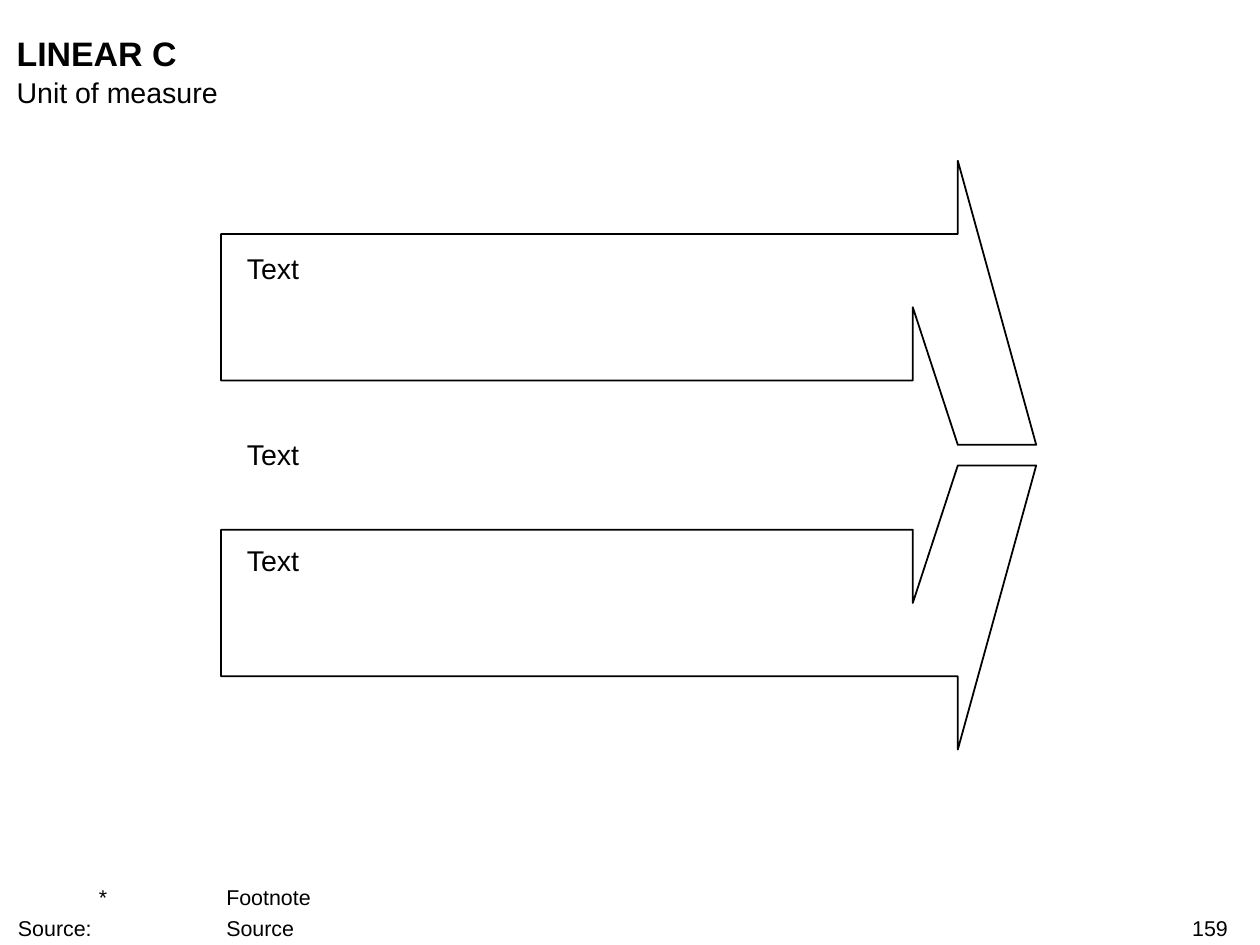
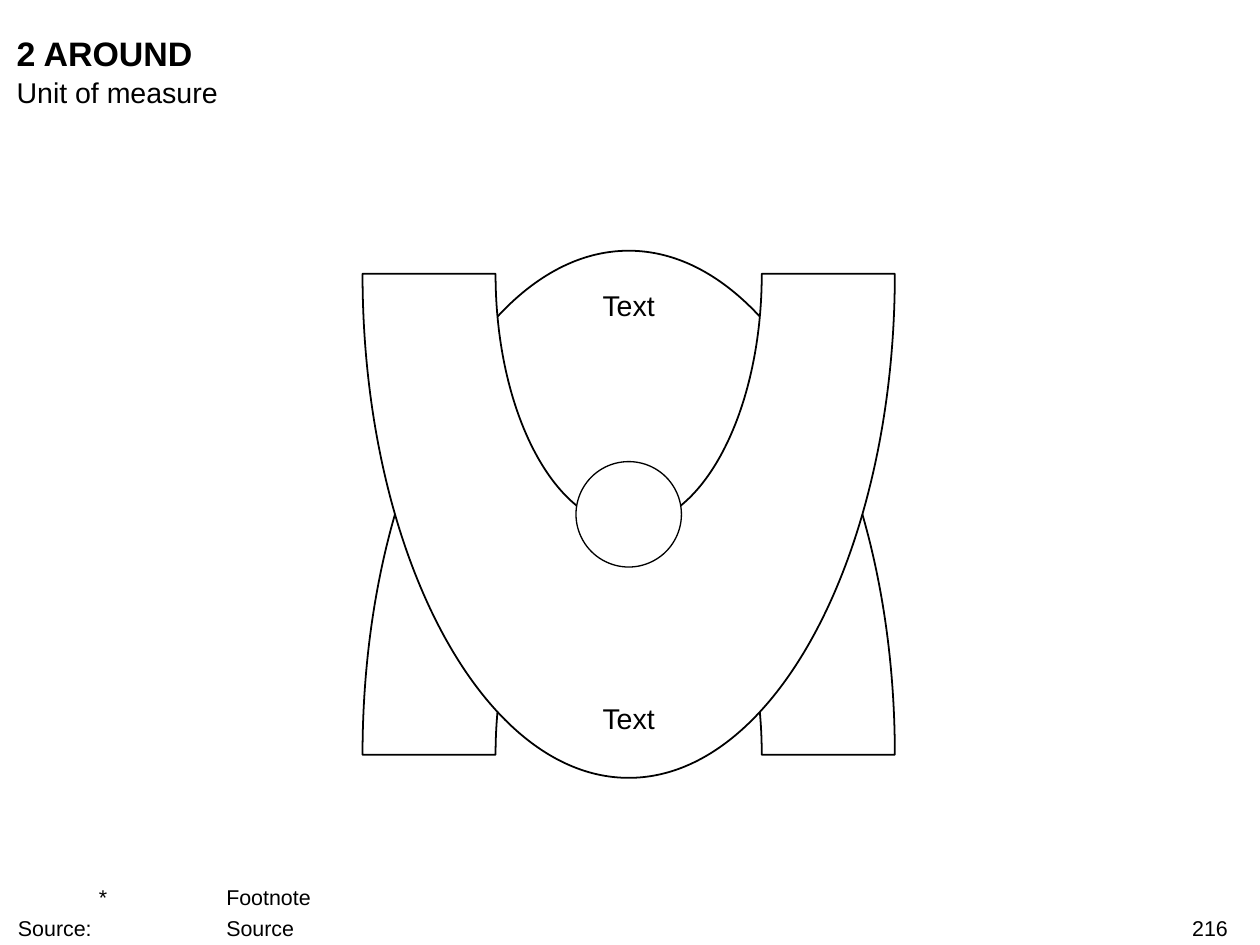
from lxml import etree
from pptx import Presentation
from pptx.dml.color import RGBColor
from pptx.enum.shapes import MSO_SHAPE
from pptx.enum.text import MSO_ANCHOR, PP_ALIGN
from pptx.oxml.ns import qn
from pptx.util import Inches, Pt

OVAL = MSO_SHAPE.OVAL
TOP, MIDDLE, BOTTOM = MSO_ANCHOR.TOP, MSO_ANCHOR.MIDDLE, MSO_ANCHOR.BOTTOM
LEFT, CENTER, RIGHT = PP_ALIGN.LEFT, PP_ALIGN.CENTER, PP_ALIGN.RIGHT
COLORS = {"ink": "000000", "paper": "FFFFFF"}
FONT = "Arial"
BODY, SMALL, HEAD = 16, 12, 19
TABS = (0.63, 1.62)
BEND = 0.55  # handle length of a quarter ellipse, as a share of its radius


def color(name):
    return RGBColor.from_string(COLORS[name])


class Deck:
    def __init__(self):
        self.prs = Presentation()
        self.prs.slide_width = Inches(9.8)
        self.prs.slide_height = Inches(7.35)
        self.shapes = None

    def page(self, title, number):
        """Start a slide with its title, unit line, footnote and number."""
        slide = self.prs.slides.add_slide(self.prs.slide_layouts[6])
        fill = slide.background.fill
        fill.solid()
        fill.fore_color.rgb = color("paper")
        self.shapes = slide.shapes
        self.text(number, 7.51, 7.12, 2.04, 0.2, SMALL, align=RIGHT)
        self.text(title, 0.13, 0.25, 9.43, 0.32, HEAD, bold=True)
        self.text("Unit of measure", 0.13, 0.58, 9.43)
        self.text("\t*\tFootnote\nSource:\t\tSource", 0.14, 6.88, 8.93, 0.44,
                  SMALL, anchor=BOTTOM, tabs=TABS, gap=3)

    def text(self, words, x, y, w, h=0.27, size=BODY, bold=False,
             align=LEFT, anchor=TOP, tabs=(), gap=0):
        box = self.shapes.add_textbox(Inches(x), Inches(y), Inches(w), Inches(h))
        frame = box.text_frame
        frame.word_wrap = True
        frame.vertical_anchor = anchor
        frame.margin_left = frame.margin_right = 0
        frame.margin_top = frame.margin_bottom = 0
        frame.text = words
        for i, para in enumerate(frame.paragraphs):
            para.alignment = align
            if i:
                para.space_before = Pt(gap)
            if tabs:
                self.tabs(para, tabs)
            for run in para.runs:
                run.font.name = FONT
                run.font.size = Pt(size)
                run.font.bold = bold
                run.font.color.rgb = color("ink")

    def tabs(self, para, stops):
        props = para._p.get_or_add_pPr()
        tabs = etree.SubElement(props, qn("a:tabLst"))
        for stop in stops:
            etree.SubElement(tabs, qn("a:tab"), pos=str(Inches(stop)), algn="l")

    def style(self, shape, width):
        shape.shadow.inherit = False
        shape.fill.solid()
        shape.fill.fore_color.rgb = color("paper")
        shape.line.color.rgb = color("ink")
        shape.line.width = Pt(width)

    def outline(self, points, bends=()):
        """Draw a closed outline; each bend is the index where a curve starts."""
        spots = [(Inches(x), Inches(y)) for x, y in points]
        form = self.shapes.build_freeform(*spots[0])
        form.add_line_segments(spots[1:], close=True)
        shape = form.convert_to_shape()
        self.style(shape, 1)
        lines = list(shape._element.iter(qn("a:lnTo")))
        for start in bends:
            first, *rest = lines[start:start + 3]
            first.tag = qn("a:cubicBezTo")
            for line in rest:
                first.append(line[0])
                line.getparent().remove(line)

    def disc(self, x, y, size):
        shape = self.shapes.add_shape(OVAL, Inches(x), Inches(y),
                                      Inches(size), Inches(size))
        self.style(shape, 0.75)


def flip(points, axis):
    """Mirror points about a horizontal axis."""
    return [(x, 2 * axis - y) for x, y in points]


def dome(x, base, rx, ry):
    """Curve points of an upper half ellipse, from left to right."""
    units = [(-1, 0), (-1, BEND), (-BEND, 1), (0, 1),
             (BEND, 1), (1, BEND), (1, 0)]
    return [(x + rx * u, base - ry * v) for u, v in units]


def arrows(deck):
    deck.page("LINEAR C", "159")
    upper = [(1.72, 2.96), (1.72, 1.82), (7.45, 1.82), (7.45, 1.25),
             (8.06, 3.46), (7.45, 3.46), (7.1, 2.39), (7.1, 2.96)]
    deck.outline(flip(upper, 3.54))
    deck.outline(upper)
    for y, anchor in ((1.95, TOP), (3.4, MIDDLE), (4.22, TOP)):
        deck.text("Text", 1.92, y, 4.34, anchor=anchor)


def around(deck):
    deck.page("2 AROUND", "216")
    mid, axis, size = 4.89, 4, 0.82
    rx, ry = 2.07, 3.92
    ring = dome(mid, 5.87, rx / 2, ry / 2) + dome(mid, 5.87, rx, ry)[::-1]
    bends = (0, 3, 7, 10)
    deck.outline(ring, bends)
    deck.outline(flip(ring, axis), bends)
    deck.disc(mid - size / 2, axis - size / 2, size)
    for y in (2.24, 5.45):
        deck.text("Text", mid - 1.08, y, 2.16, align=CENTER, anchor=MIDDLE)


def main():
    deck = Deck()
    arrows(deck)
    around(deck)
    deck.prs.save("out.pptx")


if __name__ == "__main__":
    main()
